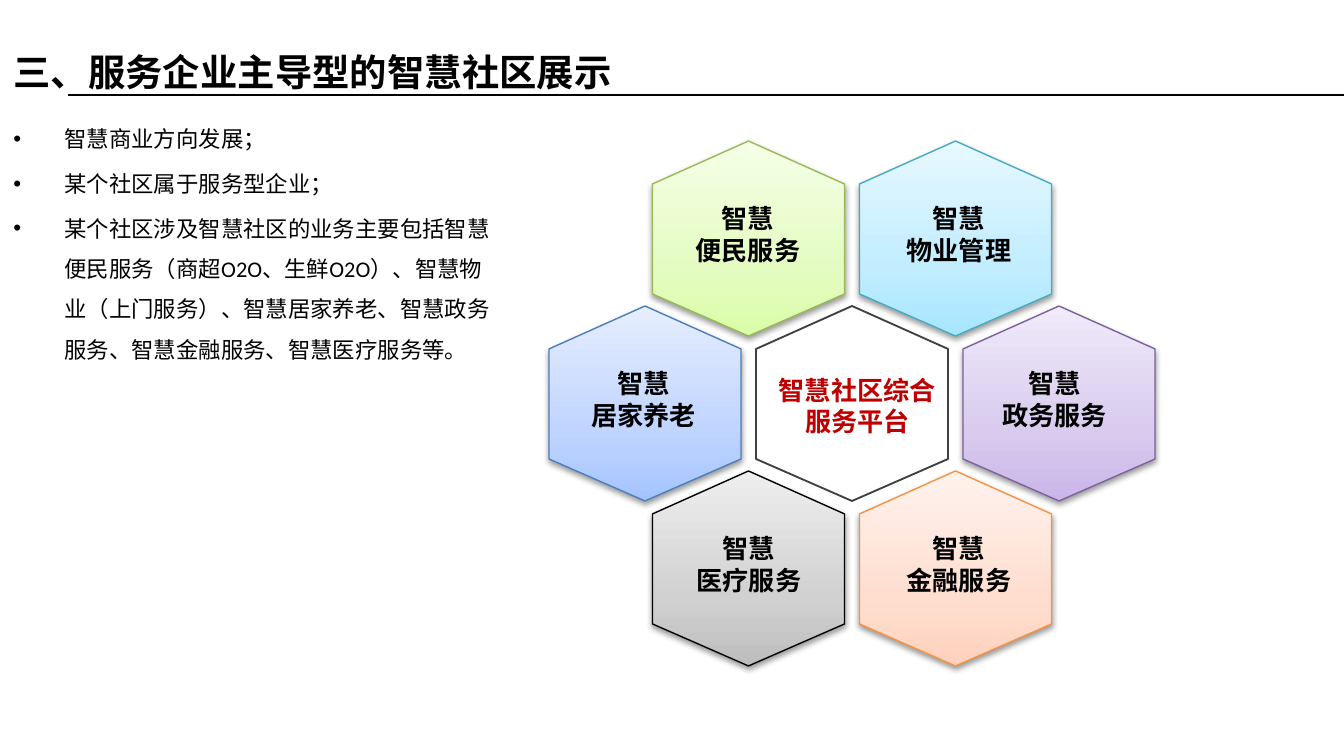
"""Build the slide on service-led smart communities."""
from lxml.etree import SubElement
from pptx import Presentation
from pptx.dml.color import RGBColor
from pptx.enum.shapes import MSO_CONNECTOR, MSO_SHAPE
from pptx.enum.text import MSO_ANCHOR, MSO_AUTO_SIZE, PP_ALIGN
from pptx.oxml import parse_xml
from pptx.oxml.ns import nsdecls, qn
from pptx.util import Pt

TITLE = "三、服务企业主导型的智慧社区展示"
POINTS = [
    "智慧商业方向发展；",
    "某个社区属于服务型企业；",
    "某个社区涉及智慧社区的业务主要包括智慧便民服务（商超O2O、生鲜O2O）、智慧物业（上门服务）、"
    "智慧居家养老、智慧政务服务、智慧金融服务、智慧医疗服务等。",
]
CENTER = "智慧社区综合服务平台"
# name, half-column, row, label shift, outline, gradient from bottom to top
SERVICES = [
    ("便民服务", 1, 0, 0, "98B955", ("DAFDA7", "E4FCC2", "F5FFE7")),
    ("政务服务", 4, 1, -4, "7D60A0", ("C9B5E8", "D8CBEE", "F0EAF9")),
    ("医疗服务", 1, 2, 1, "000000", ("BDBDBD", "D1D1D1", "EEEEEE")),
    ("物业管理", 3, 0, 4, "46AAC5", ("A7E6FF", "C1EDFF", "E7F8FF")),
    ("金融服务", 3, 2, 4, "F69240", ("FFD2BD", "FFDED0", "FFF2ED")),
    ("居家养老", 0, 1, -1, "4B7EBC", ("A4C4FF", "BFD4FF", "E6EEFF")),
]
STOPS = (0, 35000, 100000)
HEXAGON = [(96, 0), (192, 43), (192, 153), (96, 195), (0, 153), (0, 43)]
HEX_LEFT, HEX_TOP, COLUMN_STEP, ROW_STEP = 549, 141, 103.5, 165
HEADING_FONT, BODY_FONT = "Noto Sans CJK SC", "Calibri"
SCALE = 914400 / 134.4


def px(value):
    return round(value * SCALE)


def frame(*lengths):
    return [px(length) for length in lengths]


def color(value):
    return RGBColor.from_string(value)


def style(paragraph, font, size, ink="000000", bold=False):
    for span in paragraph.runs:
        span.font.name = font
        span.font.size = Pt(size)
        span.font.bold = bold
        span.font.color.rgb = color(ink)


def set_indent(paragraph, indent):
    properties = paragraph._p.get_or_add_pPr()
    properties.set("marL", str(px(indent)))
    properties.set("indent", str(-px(indent)))


def place(shape, left, top, width, height):
    shape.left, shape.top, shape.width, shape.height = frame(left, top, width, height)
    shape.text_frame.auto_size = MSO_AUTO_SIZE.NONE


def hex_origin(column, row):
    return HEX_LEFT + column * COLUMN_STEP, HEX_TOP + row * ROW_STEP


def add_hexagon(page, column, row, outline, width):
    left, top = hex_origin(column, row)
    points = [tuple(frame(left + x, top + y)) for x, y in HEXAGON]
    builder = page.shapes.build_freeform(*points[0])
    builder.add_line_segments(points[1:], close=True)
    shape = builder.convert_to_shape()
    shape.shadow.inherit = False
    shape.fill.background()
    shape.line.color.rgb = color(outline)
    shape.line.width = Pt(width)
    return shape


def add_gradient_and_shadow(shape, shades):
    stops = "".join(
        f'<a:gs pos="{position}"><a:srgbClr val="{shade}"/></a:gs>'
        for position, shade in zip(STOPS, shades)
    )
    gradient = parse_xml(
        f'<a:gradFill {nsdecls("a")} rotWithShape="1"><a:gsLst>{stops}</a:gsLst>'
        '<a:lin ang="16200000" scaled="0"/></a:gradFill>'
    )
    properties = shape._element.spPr
    properties.replace(properties.find(qn("a:noFill")), gradient)
    shadow = parse_xml(
        f'<a:outerShdw {nsdecls("a")} blurRad="40000" dist="20000" dir="5400000" rotWithShape="0">'
        '<a:srgbClr val="000000"><a:alpha val="38000"/></a:srgbClr></a:outerShdw>'
    )
    properties.find(qn("a:effectLst")).append(shadow)


def add_label(page, name, column, row, shift):
    left, top = hex_origin(column, row)
    box = page.shapes.add_textbox(*frame(left + 29 + shift, top + 55, 133, 77))
    box.text_frame.word_wrap = False
    box.text_frame.text = f"智慧\n{name}"
    for paragraph in box.text_frame.paragraphs:
        paragraph.alignment = PP_ALIGN.CENTER
        style(paragraph, HEADING_FONT, 14, bold=True)


def add_center(page):
    add_hexagon(page, 2, 1, "404040", 1)
    box = page.shapes.add_shape(MSO_SHAPE.ROUNDED_RECTANGLE, *frame(774, 358, 167, 95))
    box.shadow.inherit = False
    box.fill.background()
    box.line.fill.background()
    text = box.text_frame
    text.margin_left = text.margin_right = text.margin_top = text.margin_bottom = 0
    text.vertical_anchor = MSO_ANCHOR.MIDDLE
    text.word_wrap = True
    text.text = CENTER
    text.paragraphs[0].alignment = PP_ALIGN.CENTER
    style(text.paragraphs[0], HEADING_FONT, 14, "C00000", True)


def add_rule(page):
    rule = page.shapes.add_connector(MSO_CONNECTOR.STRAIGHT, *frame(68, 95, 1344, 95))
    rule.line.color.rgb = color("000000")
    rule.line.width = Pt(0.75)
    SubElement(rule._element.spPr, qn("a:effectLst"))


def fill_title(title):
    place(title, 0, 30, 1210, 60)
    title.text_frame.vertical_anchor = MSO_ANCHOR.MIDDLE
    title.text_frame.text = TITLE
    paragraph = title.text_frame.paragraphs[0]
    set_indent(paragraph, 59)
    paragraph.alignment = PP_ALIGN.LEFT
    paragraph.line_spacing = 1.5
    style(paragraph, HEADING_FONT, 20, bold=True)


def fill_body(body):
    place(body, 0, 105, 511, 269)
    body.text_frame.text = "\n".join(POINTS)
    for index, paragraph in enumerate(body.text_frame.paragraphs):
        set_indent(paragraph, 51)
        paragraph.line_spacing = 1.5
        paragraph.space_before = Pt(2.4 if index else 0)
        bullet = SubElement(paragraph._p.get_or_add_pPr(), qn("a:buChar"))
        bullet.set("char", "•")
        style(paragraph, BODY_FONT, 12)


def main():
    deck = Presentation()
    deck.slide_width, deck.slide_height = frame(1344, 756)
    page = deck.slides.add_slide(deck.slide_layouts[1])
    add_rule(page)
    for name, column, row, shift, outline, shades in SERVICES:
        add_gradient_and_shadow(add_hexagon(page, column, row, outline, 0.75), shades)
    add_center(page)
    for name, column, row, shift, outline, shades in SERVICES:
        add_label(page, name, column, row, shift)
    fill_title(page.shapes.title)
    fill_body(page.placeholders[1])
    deck.save("out.pptx")


if __name__ == "__main__":
    main()
